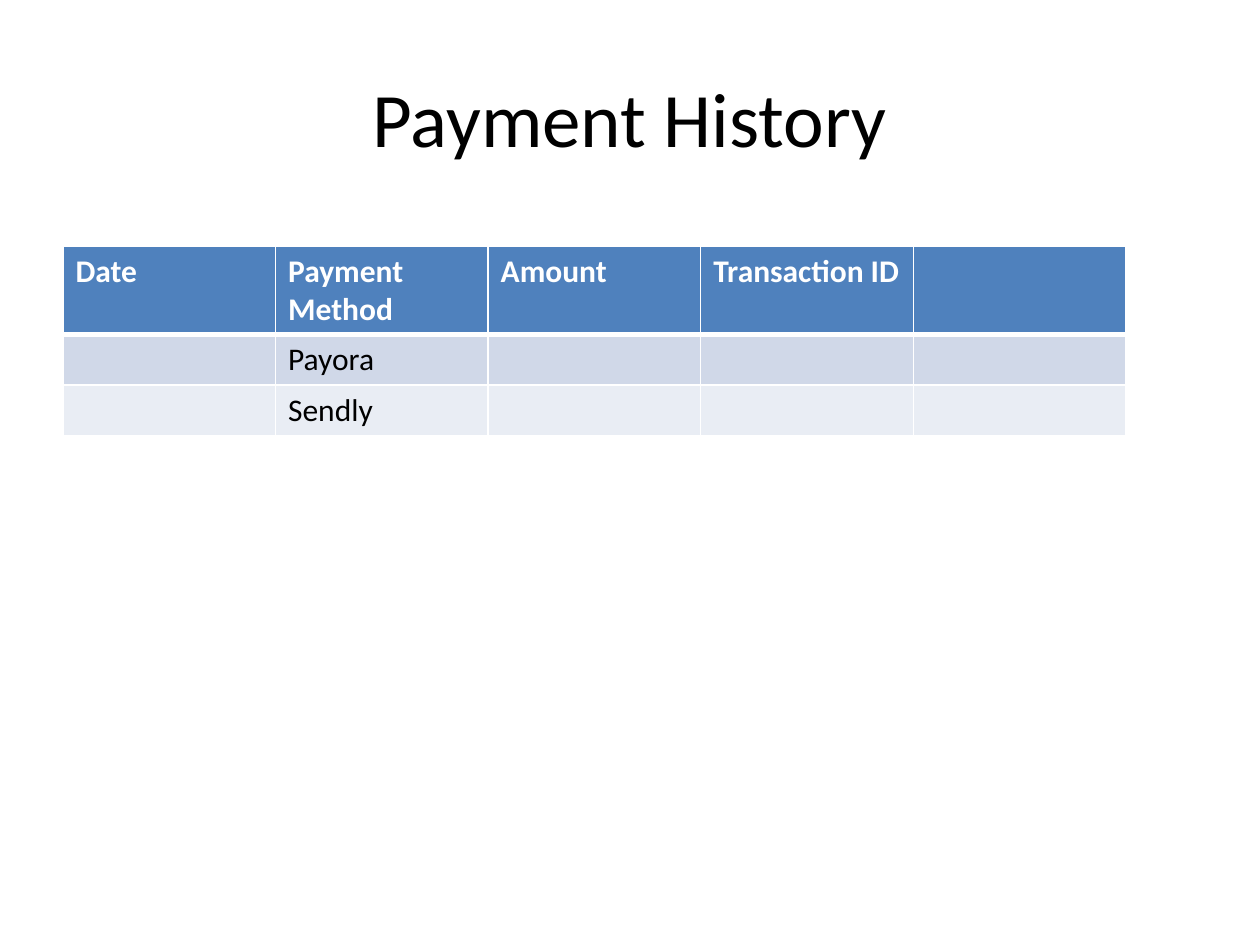
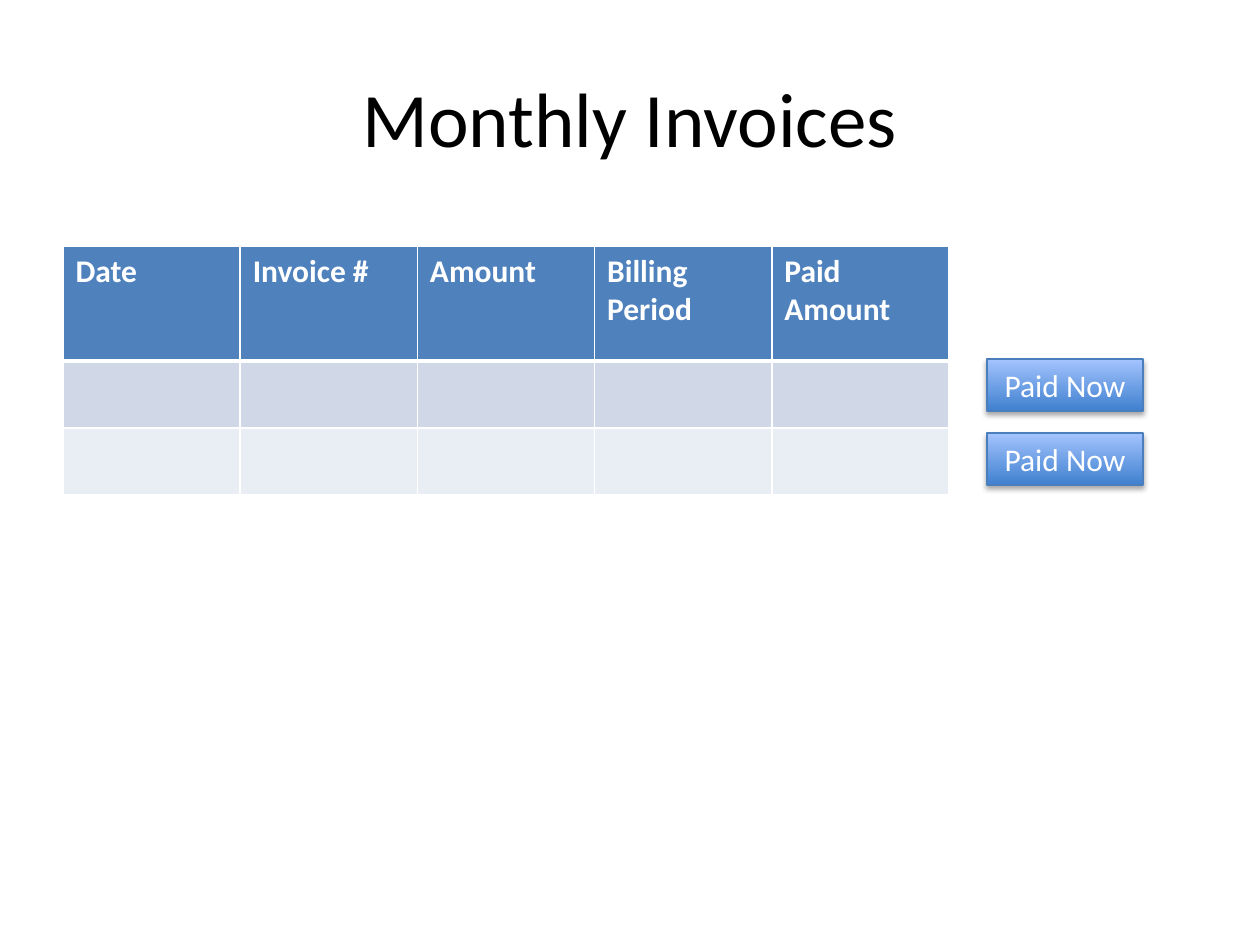
"""Build two billing slides: payment history and monthly invoices."""
from dataclasses import dataclass
from typing import Any

import pptx
import pptx.dml.color
import pptx.enum.shapes
import pptx.enum.text
import pptx.oxml
import pptx.oxml.ns
import pptx.util

EMU_PER_PIXEL = 914400 / 126
COLORS = {
    "black": "000000",
    "white": "FFFFFF",
    "header": "4F81BD",
    "odd_row": "D0D8E8",
    "even_row": "E9EDF4",
    "button_bottom": "3F80CE",
    "button_top": "A4C4FF",
    "button_line": "4B7EBC",
}
FONT = "Calibri"
TITLE_FORMAT = {"size": pptx.util.Pt(44), "name": FONT, "bold": False}
BODY_FORMAT = {"size": pptx.util.Pt(18), "name": FONT, "bold": False}
HEADER_FORMAT = {**BODY_FORMAT, "bold": True}
MIDDLE = pptx.enum.text.MSO_ANCHOR.MIDDLE
CENTER = pptx.enum.text.PP_ALIGN.CENTER


@dataclass(frozen=True)
class Box:
    """A rectangle in pixels."""
    left: int
    top: int
    width: int
    height: int

    def emu(self) -> list[int]:
        """Return left, top, width and height in EMU."""
        return [pixels(n) for n in (self.left, self.top, self.width, self.height)]


@dataclass(frozen=True)
class TableSpec:
    """Contents and size of a table with equal columns."""
    rows: list[list[str]]
    row_heights: list[int]
    width: int


@dataclass(frozen=True)
class SlideSpec:
    """Everything that differs from slide to slide."""
    title: str
    table: TableSpec
    buttons: tuple[str, ...] = ()


TITLE_BOX = Box(63, 38, 1134, 158)
TABLE_LEFT, TABLE_TOP = 63, 246
FIRST_BUTTON = Box(987, 359, 156, 52)
BUTTON_PITCH = 74

SLIDES = [
    SlideSpec(
        "Payment History",
        TableSpec(
            [["Date", "Payment Method", "Amount", "Transaction ID", ""],
             ["", "Payora", "", "", ""],
             ["", "Sendly", "", "", ""]],
            [88, 51, 51], 1063),
    ),
    SlideSpec(
        "Monthly Invoices",
        TableSpec(
            [["Date", "Invoice #", "Amount", "Billing Period", "Paid Amount"],
             [""] * 5,
             [""] * 5],
            [115, 67, 67], 886),
        ("Paid Now", "Paid Now"),
    ),
]


def pixels(count: float) -> int:
    """Turn pixels into EMU."""
    return round(count * EMU_PER_PIXEL)


def rgb(name: str) -> pptx.dml.color.RGBColor:
    """Look up a named colour."""
    return pptx.dml.color.RGBColor.from_string(COLORS[name])


def write(paragraph: Any, text: str, formats: dict[str, Any], color: str) -> None:
    """Add one formatted run of text to a paragraph."""
    font = paragraph.font
    if text:
        run = paragraph.add_run()
        run.text = text
        font = run.font
    for attribute, value in formats.items():
        setattr(font, attribute, value)
    font.color.rgb = rgb(color)


def write_centered(shape: Any, text: str, formats: dict[str, Any], color: str) -> None:
    """Write text in the middle of a shape."""
    frame = shape.text_frame
    for attribute, value in {"word_wrap": True, "vertical_anchor": MIDDLE}.items():
        setattr(frame, attribute, value)
    paragraph = frame.paragraphs[0]
    paragraph.alignment = CENTER
    write(paragraph, text, formats, color)


def add_title(slide: Any, text: str) -> None:
    """Add the slide title."""
    shape = slide.shapes.add_textbox(*TITLE_BOX.emu())
    write_centered(shape, text, TITLE_FORMAT, "black")


def set_borders(cell: Any, top: int, bottom: int) -> None:
    """Give a cell white borders, 1 point wide at the sides."""
    properties = cell._tc.get_or_add_tcPr()
    for side, points in {"L": 1, "R": 1, "T": top, "B": bottom}.items():
        properties.append(pptx.oxml.parse_xml(
            f'<a:ln{side} {pptx.oxml.ns.nsdecls("a")} w="{pptx.util.Pt(points)}">'
            f'<a:solidFill><a:srgbClr val="{COLORS["white"]}"/></a:solidFill>'
            f'</a:ln{side}>'))


def add_table(slide: Any, spec: TableSpec) -> None:
    """Add a table with a header row and banded body rows."""
    box = Box(TABLE_LEFT, TABLE_TOP, spec.width, sum(spec.row_heights))
    column_count = len(spec.rows[0])
    table = slide.shapes.add_table(len(spec.rows), column_count, *box.emu()).table
    for column in table.columns:
        column.width = pixels(spec.width / column_count)
    for index, (texts, height) in enumerate(zip(spec.rows, spec.row_heights)):
        table.rows[index].height = pixels(height)
        is_header = index == 0
        fill = "header" if is_header else "odd_row" if index % 2 else "even_row"
        formats = HEADER_FORMAT if is_header else BODY_FORMAT
        color = "white" if is_header else "black"
        for cell, text in zip(table.rows[index].cells, texts):
            set_borders(cell, top=3 if index == 1 else 1, bottom=3 if is_header else 1)
            cell.fill.solid()
            cell.fill.fore_color.rgb = rgb(fill)
            write(cell.text_frame.paragraphs[0], text, formats, color)


def add_shadow(shape: Any) -> None:
    """Add a soft shadow just below a shape."""
    shape.shadow.inherit = False
    effects = shape._element.spPr.find(pptx.oxml.ns.qn("a:effectLst"))
    effects.append(pptx.oxml.parse_xml(
        f'<a:outerShdw {pptx.oxml.ns.nsdecls("a")} blurRad="{pptx.util.Pt(3.1)}" '
        f'dist="{pptx.util.Pt(1.8)}" dir="5400000" rotWithShape="0">'
        f'<a:srgbClr val="{COLORS["black"]}"><a:alpha val="35000"/></a:srgbClr>'
        '</a:outerShdw>'))


def add_button(slide: Any, text: str, box: Box) -> None:
    """Add a button with a gradient that lightens upwards."""
    shape = slide.shapes.add_shape(
        pptx.enum.shapes.MSO_SHAPE.RECTANGLE, *box.emu())
    shape.fill.gradient()
    shape.fill.gradient_angle = 90
    for stop, name in zip(shape.fill.gradient_stops, ("button_bottom", "button_top")):
        stop.color.rgb = rgb(name)
    shape.line.color.rgb = rgb("button_line")
    shape.line.width = pptx.util.Pt(0.75)
    add_shadow(shape)
    write_centered(shape, text, BODY_FORMAT, "white")


def add_slide(presentation: Any, spec: SlideSpec) -> None:
    """Add one slide with its title, table and buttons."""
    slide = presentation.slides.add_slide(presentation.slide_layouts[6])
    add_title(slide, spec.title)
    add_table(slide, spec.table)
    for index, text in enumerate(spec.buttons):
        top = FIRST_BUTTON.top + index * BUTTON_PITCH
        add_button(slide, text, Box(
            FIRST_BUTTON.left, top, FIRST_BUTTON.width, FIRST_BUTTON.height))


def main() -> None:
    """Build and save the presentation."""
    presentation = pptx.Presentation()
    presentation.slide_width = pixels(1260)
    presentation.slide_height = pixels(945)
    for spec in SLIDES:
        add_slide(presentation, spec)
    presentation.save("out.pptx")


main()
